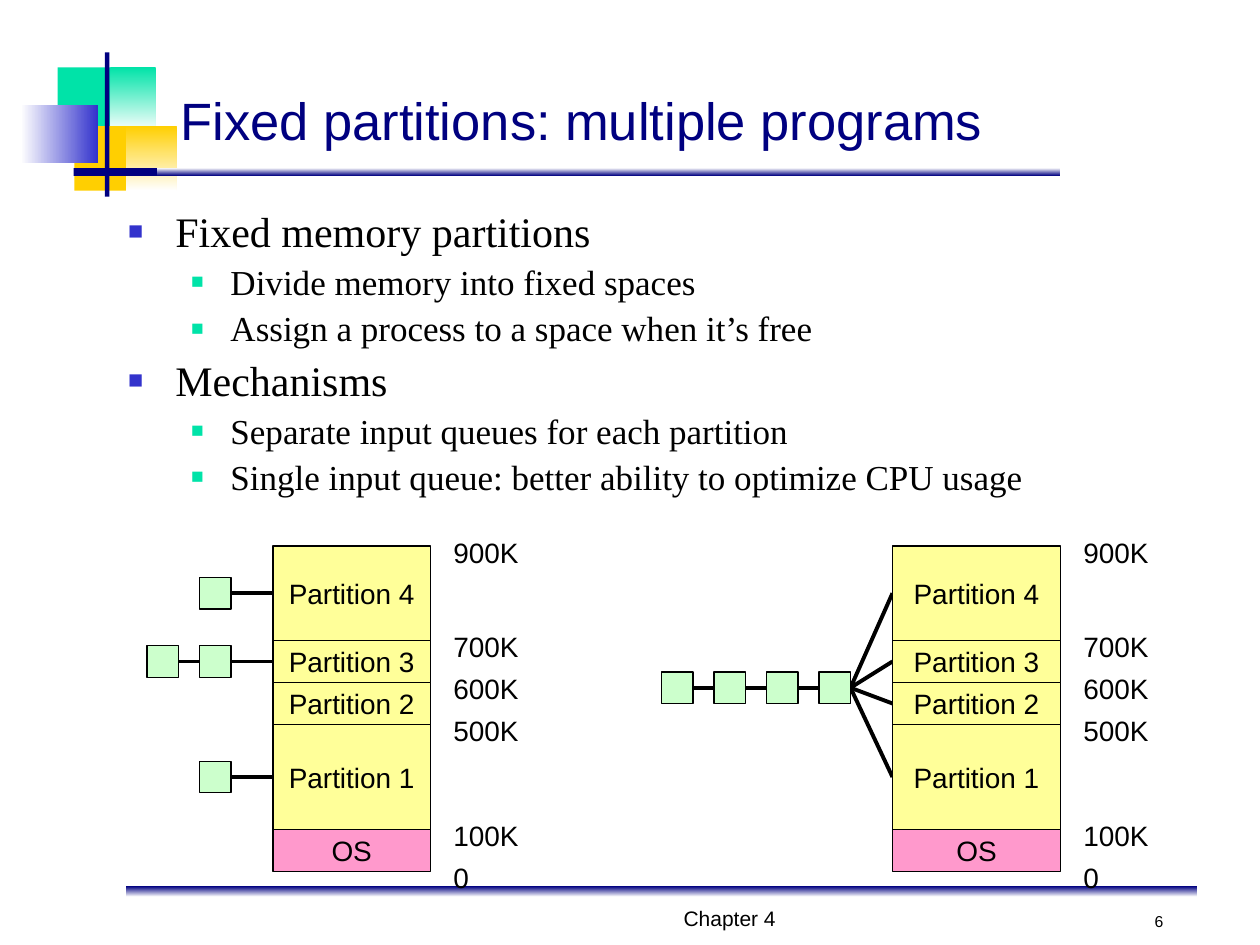
from lxml import etree
from pptx import Presentation
from pptx.dml.color import RGBColor
from pptx.enum import shapes, text
from pptx.oxml import ns
from pptx.util import Pt

COLORS = {
    "navy": "000080", "blue": "3333CC", "green": "00E3A8", "gold": "FFCF01",
    "white": "FFFFFF", "black": "000000", "os": "FF99CC",
    "partition": "FFFF99", "job": "CCFFCC",
}
RGB = {name: RGBColor.from_string(value) for name, value in COLORS.items()}

deck = Presentation()
deck.slide_width, deck.slide_height = Pt(720), Pt(540)
slide = deck.slides.add_slide(deck.slide_layouts[1])


def add_block(left, top, width, height, color, end_color=None, angle=270, outlined=False):
    block = slide.shapes.add_shape(
        shapes.MSO_SHAPE.RECTANGLE, Pt(left), Pt(top), Pt(width), Pt(height))
    block.shadow.inherit = False
    if end_color:
        block.fill.gradient()
        block.fill.gradient_angle = angle
        for stop, name in zip(block.fill.gradient_stops, (color, end_color)):
            stop.color.rgb = RGB[name]
    else:
        block.fill.solid()
        block.fill.fore_color.rgb = RGB[color]
    if outlined:
        block.line.color.rgb = RGB["black"]
        block.line.width = Pt(0.75)
    else:
        block.line.fill.background()
    return block


def write(frame, wording, size, align, anchor, color="black", wrap=False):
    frame.word_wrap = wrap
    frame.auto_size = text.MSO_AUTO_SIZE.NONE
    frame.vertical_anchor = anchor
    paragraph = frame.paragraphs[0]
    paragraph.text = wording
    paragraph.alignment = align
    paragraph.font.name = "Arial"
    paragraph.font.size = Pt(size)
    paragraph.font.color.rgb = RGB[color]


LEFT, CENTER, RIGHT = text.PP_ALIGN.LEFT, text.PP_ALIGN.CENTER, text.PP_ALIGN.RIGHT
TOP, MIDDLE, BOTTOM = text.MSO_ANCHOR.TOP, text.MSO_ANCHOR.MIDDLE, text.MSO_ANCHOR.BOTTOM

add_block(72, 506.5, 612, 6, "navy", "white")
add_block(33, 38.5, 35, 37, "green")
add_block(63, 38.5, 26, 37, "green", "white")
add_block(42.5, 72, 33, 37, "gold")
add_block(72, 72, 29, 37, "gold", "white")
add_block(12, 60, 44, 33, "white", "blue", angle=0)
add_block(60, 30, 2.5, 82.5, "navy")
add_block(42, 96, 54, 4.5, "navy")
add_block(90, 96, 515.5, 4.5, "white", "navy")

title = slide.shapes.title
title.left, title.top, title.width, title.height = Pt(96), Pt(42), Pt(612), Pt(48)
write(title.text_frame, "Fixed partitions: multiple programs", 30, LEFT, BOTTOM, "navy", True)

outline = [
    (0, "Fixed memory partitions"),
    (1, "Divide memory into fixed spaces"),
    (1, "Assign a process to a space when it’s free"),
    (0, "Mechanisms"),
    (1, "Separate input queues for each partition"),
    (1, "Single input queue: better ability to optimize CPU usage"),
]
level_styles = [(24, 3, 27, 27, "blue"), (20, 2.5, 58.5, 22.5, "green")]
body = slide.placeholders[1]
body.left, body.top, body.width, body.height = Pt(66), Pt(114), Pt(639), Pt(189)
body.text_frame.auto_size = text.MSO_AUTO_SIZE.NONE
for index, (level, wording) in enumerate(outline):
    size, space, margin, hanging, bullet_color = level_styles[level]
    point = body.text_frame.paragraphs[0] if index == 0 else body.text_frame.add_paragraph()
    point.text = wording
    point.level = level
    point.space_before = Pt(space)
    properties = point._p.get_or_add_pPr()
    properties.set("marL", str(Pt(margin)))
    properties.set("indent", str(-Pt(hanging)))
    bullet = etree.SubElement(properties, ns.qn("a:buClr"))
    etree.SubElement(bullet, ns.qn("a:srgbClr"), val=COLORS[bullet_color])
    etree.SubElement(properties, ns.qn("a:buSzPct"), val="60000")
    etree.SubElement(properties, ns.qn("a:buFont"), typeface="Arial")
    etree.SubElement(properties, ns.qn("a:buChar"), char="■")
    point.font.name = "Times New Roman"
    point.font.size = Pt(size)
    point.font.color.rgb = RGB["black"]

memory_top = 312
memory = [
    ("Partition 4", 54, "900K"),
    ("Partition 3", 24, "700K"),
    ("Partition 2", 24, "600K"),
    ("Partition 1", 60, "500K"),
    ("OS", 24, "100K"),
]
memory_bottom = memory_top + sum(height for _, height, _ in memory)
centers = {}
addresses = []
edge = memory_top
for name, height, address in memory:
    centers[name] = edge + height / 2
    addresses.append((address, edge))
    edge += height
addresses.append(("0", memory_bottom))

left_memory, right_memory = 156, 510
job_size, job_pitch = 18, 30
shared_y, shared_end = 393, 486
queues = [
    (114, centers["Partition 4"], 1),
    (84, centers["Partition 3"], 2),
    (114, centers["Partition 1"], 1),
    (378, shared_y, 4),
]
wires = [(left + job_size, y, left_memory, y) for left, y, _ in queues[:3]]
wires.append((396, shared_y, shared_end, shared_y))
wires += [(shared_end, shared_y, right_memory, centers[name])
          for name, _, _ in memory if name != "OS"]
for x1, y1, x2, y2 in wires:
    wire = slide.shapes.add_connector(
        shapes.MSO_CONNECTOR.STRAIGHT, Pt(x1), Pt(y1), Pt(x2), Pt(y2))
    wire.line.color.rgb = RGB["black"]
    wire.line.width = Pt(2.25)
    etree.SubElement(wire._element.spPr, ns.qn("a:effectLst"))

for left, width, address_left in [(left_memory, 90, 252), (right_memory, 96, 612)]:
    for name, height, _ in memory:
        color = "os" if name == "OS" else "partition"
        region = add_block(left, centers[name] - height / 2, width, height, color, outlined=True)
        write(region.text_frame, name, 16, CENTER, MIDDLE)
    for address, y in addresses:
        label = slide.shapes.add_textbox(
            Pt(address_left), Pt(y - 6), Pt(23 if address == "0" else 52), Pt(19.5))
        label.text_frame.margin_top = label.text_frame.margin_bottom = 0
        write(label.text_frame, address, 16, LEFT, TOP)

for left, y, count in queues:
    for position in range(count):
        add_block(left + position * job_pitch, y - job_size / 2,
                  job_size, job_size, "job", outlined=True)

for wording, left, width, size, align in [
    ("Chapter 4", 204, 426, 12, CENTER),
    ("6", 642, 30, 9, RIGHT),
]:
    footer = slide.shapes.add_textbox(Pt(left), Pt(516), Pt(width), Pt(19.5))
    write(footer.text_frame, wording, size, align, BOTTOM, wrap=True)

deck.save("out.pptx")
